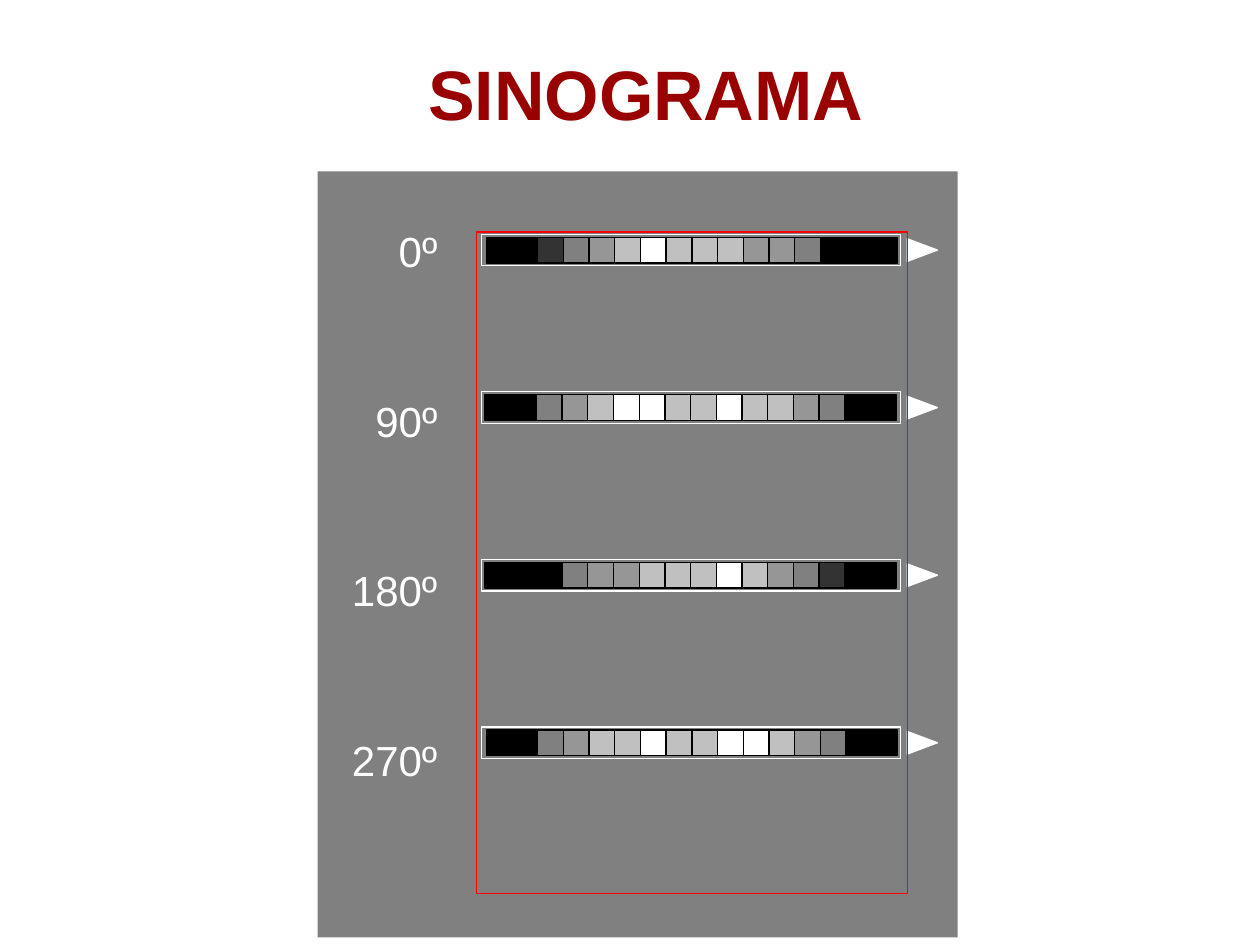
from pptx import Presentation
from pptx.dml.color import RGBColor
from pptx.enum.shapes import MSO_SHAPE
from pptx.enum.text import MSO_ANCHOR, PP_ALIGN
from pptx.util import Inches, Pt

RECT, TRIANGLE = MSO_SHAPE.RECTANGLE, MSO_SHAPE.ISOSCELES_TRIANGLE
MIDDLE = MSO_ANCHOR.MIDDLE
CENTER, RIGHT = PP_ALIGN.CENTER, PP_ALIGN.RIGHT
SHADES = {"K": "000000", "D": "333333", "G": "808080",
          "M": "969696", "L": "C0C0C0", "W": "FFFFFF"}
STRIPS = [
    ("0º", 1.86, 0.04, "KKDGMLWLLLMMGKKK"),
    ("90º", 3.11, 0.03, "KKGMLWWLLWLLMGKK"),
    ("180º", 4.44, 0.03, "KKKGMMLLLWLMGDKK"),
    ("270º", 5.77, 0.04, "KKGMLLWLLWWLMGKK"),
]


def color(value):
    return RGBColor.from_string(value)


def place(sp, box):
    sp.left, sp.top, sp.width, sp.height = (Inches(v) for v in box)


def add_shape(shapes, kind, box, fill=None, line=None):
    sp = shapes.add_shape(kind, *(Inches(v) for v in box))
    sp.shadow.inherit = False
    if fill:
        sp.fill.solid()
        sp.fill.fore_color.rgb = color(fill)
    else:
        sp.fill.background()
    if line:
        sp.line.color.rgb = color(line)
        sp.line.width = Pt(0.75)
    else:
        sp.line.fill.background()
    return sp


def add_title(s, box, text):
    sp = s.shapes.title
    place(sp, box)
    tf = sp.text_frame
    tf.text = text
    tf.vertical_anchor = MIDDLE
    p = tf.paragraphs[0]
    p.alignment = CENTER
    p.font.name, p.font.size, p.font.bold = "Arial", Pt(40), True
    p.font.color.rgb = color("990000")


def add_strip(s, box, inset, codes):
    x, y, w, h = box
    shapes = s.shapes.add_group_shape().shapes
    cell = w / (len(codes) + 0.33)
    for i, code in enumerate(codes):
        cell_box = (x + inset + i * cell, y + (h - cell) / 2, cell, cell)
        add_shape(shapes, RECT, cell_box, SHADES[code], "000000")
    add_shape(shapes, RECT, box, line="FFFFFF")
    arrow_box = (x + w + 0.08, y + (h - 0.24) / 2, 0.18, 0.24)
    arrow = add_shape(shapes, TRIANGLE, arrow_box, "FFFFFF", "FFFFFF")
    arrow.rotation = 90


def add_labels(s, box, labels):
    sp = s.shapes.add_textbox(*(Inches(v) for v in box))
    tf = sp.text_frame
    tf.word_wrap = True
    tf.margin_top = 0
    for i, label in enumerate(labels):
        p = tf.add_paragraph() if i else tf.paragraphs[0]
        p.text = label
        p.alignment = RIGHT
        p.line_spacing = 1.05
        p.space_after = Pt(66.7)
        p.font.name, p.font.size = "Arial", Pt(24)
        p.font.color.rgb = color("FFFFFF")


def add_sinogram(s, box):
    x, y, w, h = box
    add_shape(s.shapes, RECT, box, "808080")
    for _, top, inset, codes in STRIPS:
        add_strip(s, (x + 1.3, top, 3.33, 0.25), inset, codes)
    add_shape(s.shapes, RECT, (x + 1.26, y + 0.48, 3.42, 5.25), line="FF0000")
    add_labels(s, (x + 0.09, y + 0.41, 0.96, 4.43), [row[0] for row in STRIPS])


def main():
    prs = Presentation()
    prs.slide_width, prs.slide_height = Inches(10), Inches(7.5)
    s = prs.slides.add_slide(prs.slide_layouts[5])
    add_title(s, (0.5, 0.3, 9.25, 0.87), "SINOGRAMA")
    add_sinogram(s, (2.52, 1.36, 5.08, 6.08))
    prs.save("out.pptx")


if __name__ == "__main__":
    main()
